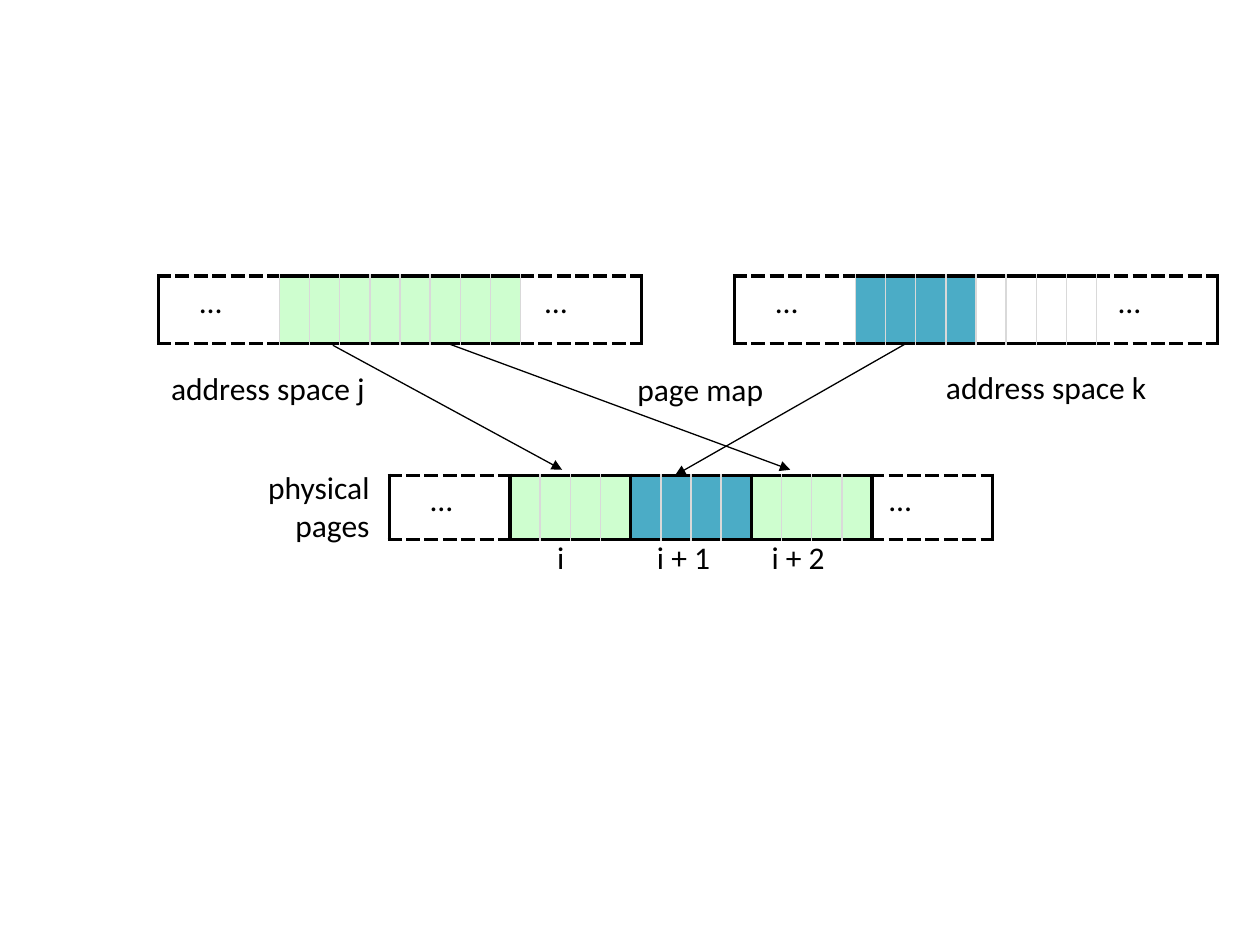
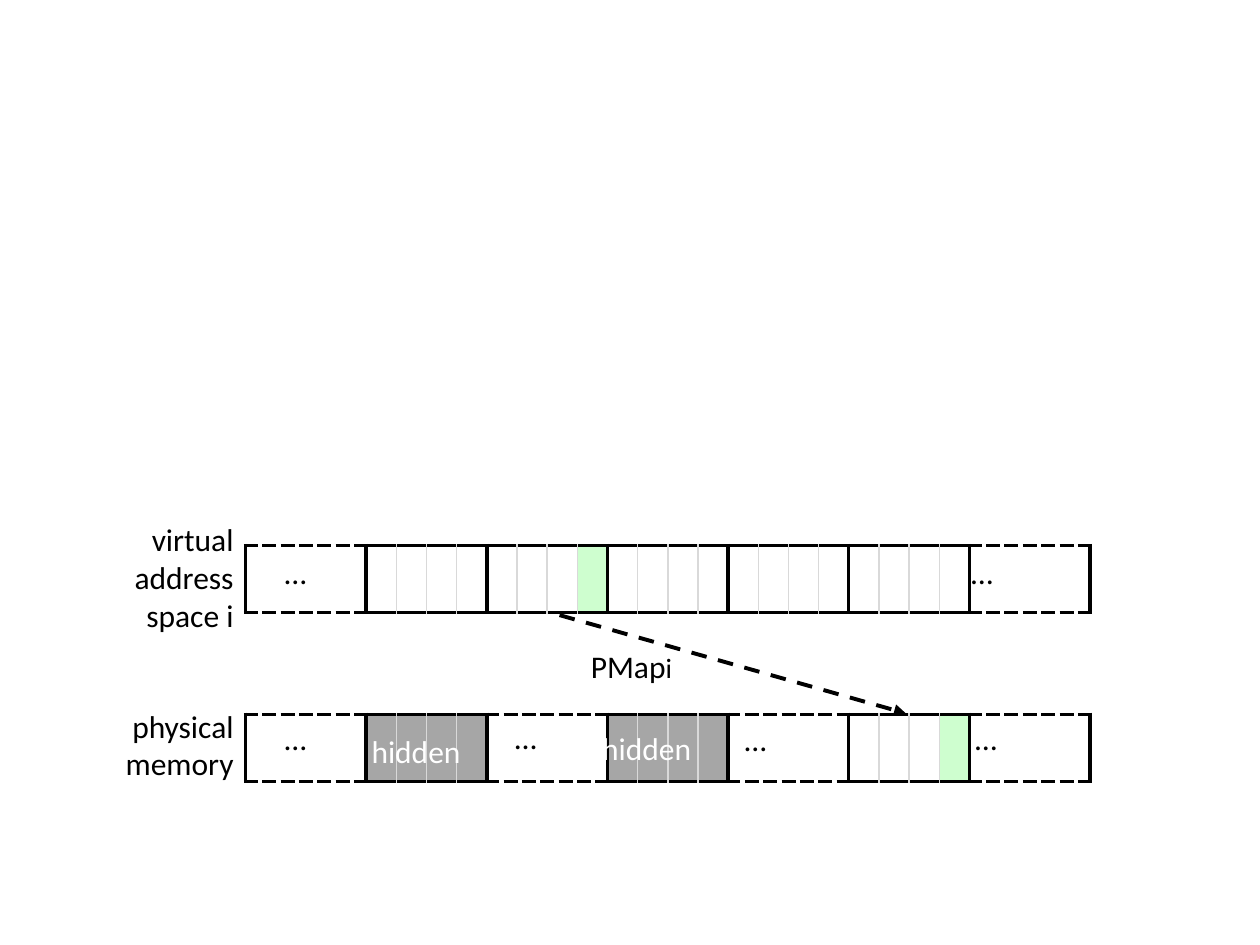
import pptx
import pptx.dml.color
import pptx.enum.dml
import pptx.enum.shapes
import pptx.enum.text
import pptx.oxml
import pptx.oxml.ns
import pptx.util
from pptx.util import Cm

BLACK = pptx.dml.color.RGBColor(0x00, 0x00, 0x00)
WHITE = pptx.dml.color.RGBColor(0xFF, 0xFF, 0xFF)
GREY = pptx.dml.color.RGBColor(0xD9, 0xD9, 0xD9)
HIDDEN = pptx.dml.color.RGBColor(0xA6, 0xA6, 0xA6)
GREEN = pptx.dml.color.RGBColor(0xCE, 0xFE, 0xCF)
BLUE = pptx.dml.color.RGBColor(0x4B, 0xAC, 0xC6)

FONT = "Calibri"
TEXT_SIZE = pptx.util.Pt(18)
PAGE_WIDTH = 0.58
PAGES_PER_BLOCK = 4
LABEL_HEIGHT = 1.02
ELLIPSIS_WIDTH = 1.37
PAGE_FILLS = {"G": GREEN, "B": BLUE, "H": HIDDEN}

# Border styles: colour, width in points, dash
STRONG = (BLACK, 2.25, "solid")
DASHED = (BLACK, 2.25, "sysDash")
LIGHT = (GREY, 1, "solid")

LEFT = pptx.enum.text.PP_ALIGN.LEFT
CENTER = pptx.enum.text.PP_ALIGN.CENTER
RIGHT = pptx.enum.text.PP_ALIGN.RIGHT


def add_memory(slide, left, top, height, pages, block_edge=STRONG):
    """Draw a row of pages: '.' is left out, '_' is empty, letters are filled."""
    count = len(pages)
    memory = slide.shapes.add_table(
        1, count, Cm(left), Cm(top), Cm(count * PAGE_WIDTH), Cm(height)).table
    memory.first_row = memory.horz_banding = False

    # Vertical edges, from the left end to the right end
    edges = [STRONG]
    for i in range(1, count):
        if i % PAGES_PER_BLOCK == 0:
            edges.append(block_edge)
        else:
            edges.append(None if pages[i] == "." else LIGHT)
    edges.append(STRONG)

    for i, page in enumerate(pages):
        memory.columns[i].width = Cm(PAGE_WIDTH)
        cell = memory.cell(0, i)
        cell_properties = cell._tc.get_or_add_tcPr()
        rail = DASHED if page == "." else STRONG
        sides = {"lnL": edges[i], "lnR": edges[i + 1], "lnT": rail, "lnB": rail}
        for side, style in sides.items():
            border = pptx.oxml.ns.qn("a:" + side)
            line = cell_properties.makeelement(border, {})
            cell_properties.append(line)
            if style is None:
                line.append(line.makeelement(pptx.oxml.ns.qn("a:noFill"), {}))
                continue
            color, width, dash = style
            line.set("w", str(int(pptx.util.Pt(width))))
            fill = line.makeelement(pptx.oxml.ns.qn("a:solidFill"), {})
            fill.append(fill.makeelement(
                pptx.oxml.ns.qn("a:srgbClr"), {"val": str(color)}))
            line.append(fill)
            line.append(line.makeelement(
                pptx.oxml.ns.qn("a:prstDash"), {"val": dash}))
        if page in PAGE_FILLS:
            cell.fill.solid()
            cell.fill.fore_color.rgb = PAGE_FILLS[page]
        else:
            cell.fill.background()


def add_label(slide, text, left, top, width, height=LABEL_HEIGHT,
              align=LEFT, color=BLACK, spacing=None):
    box = slide.shapes.add_textbox(Cm(left), Cm(top), Cm(width), Cm(height))
    box.text_frame.word_wrap = True
    box.text_frame.auto_size = pptx.enum.text.MSO_AUTO_SIZE.SHAPE_TO_FIT_TEXT
    paragraph = box.text_frame.paragraphs[0]
    paragraph.text = text
    paragraph.alignment = align
    paragraph.line_spacing = spacing
    paragraph.font.name = FONT
    paragraph.font.size = TEXT_SIZE
    paragraph.font.color.rgb = color
    return paragraph


deck = pptx.Presentation()
deck.slide_width = Cm(25.4)
deck.slide_height = Cm(19.05)
blank = deck.slide_layouts[6]

# Slide 1: two address spaces share the physical pages
sharing = deck.slides.add_slide(blank)
add_memory(sharing, 7.85, 9.58, 1.3, "....GGGGBBBBGGGG....")
add_memory(sharing, 3.2, 5.56, 1.37, "....GGGGGGGG....", LIGHT)
add_memory(sharing, 14.81, 5.56, 1.37, "....BBBB____....", LIGHT)

for left, top in [(8.43, 9.55), (17.68, 9.55), (3.78, 5.56),
                  (10.74, 5.56), (15.39, 5.56), (22.3, 5.56)]:
    add_label(sharing, "…", left, top, ELLIPSIS_WIDTH)

for text, left, width in [("i", 10.57, 1.47), ("i + 1", 12.7, 2.16),
                          ("i + 2", 15.01, 2.16)]:
    add_label(sharing, text, left, 10.72, width, align=CENTER)

add_label(sharing, "address space j", 3.2, 7.32, 5.13)
add_label(sharing, "address space k", 18.82, 7.29, 5.26)
add_label(sharing, "page map", 12.6, 7.34, 3.73)
add_label(sharing, "physical pages", 4.75, 9.32, 2.95, 1.8, RIGHT)

# Slide 2: a virtual address space mapped around hidden memory
mapping = deck.slides.add_slide(blank)
add_memory(mapping, 4.95, 11, 1.35, "....____" "___G____" "________" "....")
add_memory(mapping, 4.95, 14.4, 1.35, "....HHHH" "....HHHH" "....___G" "....")

for left, top in [(5.49, 11.02), (19.33, 11.02), (5.49, 14.38),
                  (10.13, 14.35), (14.76, 14.4), (19.41, 14.38)]:
    add_label(mapping, "…", left, top, ELLIPSIS_WIDTH)

add_label(mapping, "virtual address space i", 2.01, 10.36, 2.95, 2.57, RIGHT)
add_label(mapping, "physical memory", 2.01, 14.12, 2.95, 1.8, RIGHT)
for left, top in [(7.24, 14.4), (11.89, 14.35)]:
    add_label(mapping, "hidden", left, top, 2.51, 1.22, color=WHITE, spacing=1.3)

page_map = add_label(mapping, "PMap", 11.66, 12.7, 2.51, 1.22, spacing=1.3)
map_index = page_map.add_run()
map_index.text = "i"
map_index.font.size = pptx.util.Pt(16)

# Mapping arrows
THIN = (0.75, pptx.enum.dml.MSO_LINE.SOLID)
THICK = (2.25, pptx.enum.dml.MSO_LINE.DASH)
for slide, start, end, (width, dash) in [
    (sharing, (6.71, 6.96), (11.33, 9.47), THIN),
    (sharing, (8.99, 6.91), (15.93, 9.47), THIN),
    (sharing, (18.29, 6.91), (13.61, 9.58), THIN),
    (mapping, (11.28, 12.4), (18.26, 14.38), THICK),
]:
    arrow = slide.shapes.add_connector(
        pptx.enum.shapes.MSO_CONNECTOR.STRAIGHT,
        Cm(start[0]), Cm(start[1]), Cm(end[0]), Cm(end[1]))
    arrow.line.color.rgb = BLACK
    arrow.line.width = pptx.util.Pt(width)
    arrow.line.dash_style = dash
    properties = arrow._element.spPr
    line = properties.find(pptx.oxml.ns.qn("a:ln"))
    line.append(line.makeelement(
        pptx.oxml.ns.qn("a:tailEnd"), {"type": "triangle"}))
    properties.append(properties.makeelement(
        pptx.oxml.ns.qn("a:effectLst"), {}))

deck.save("out.pptx")
